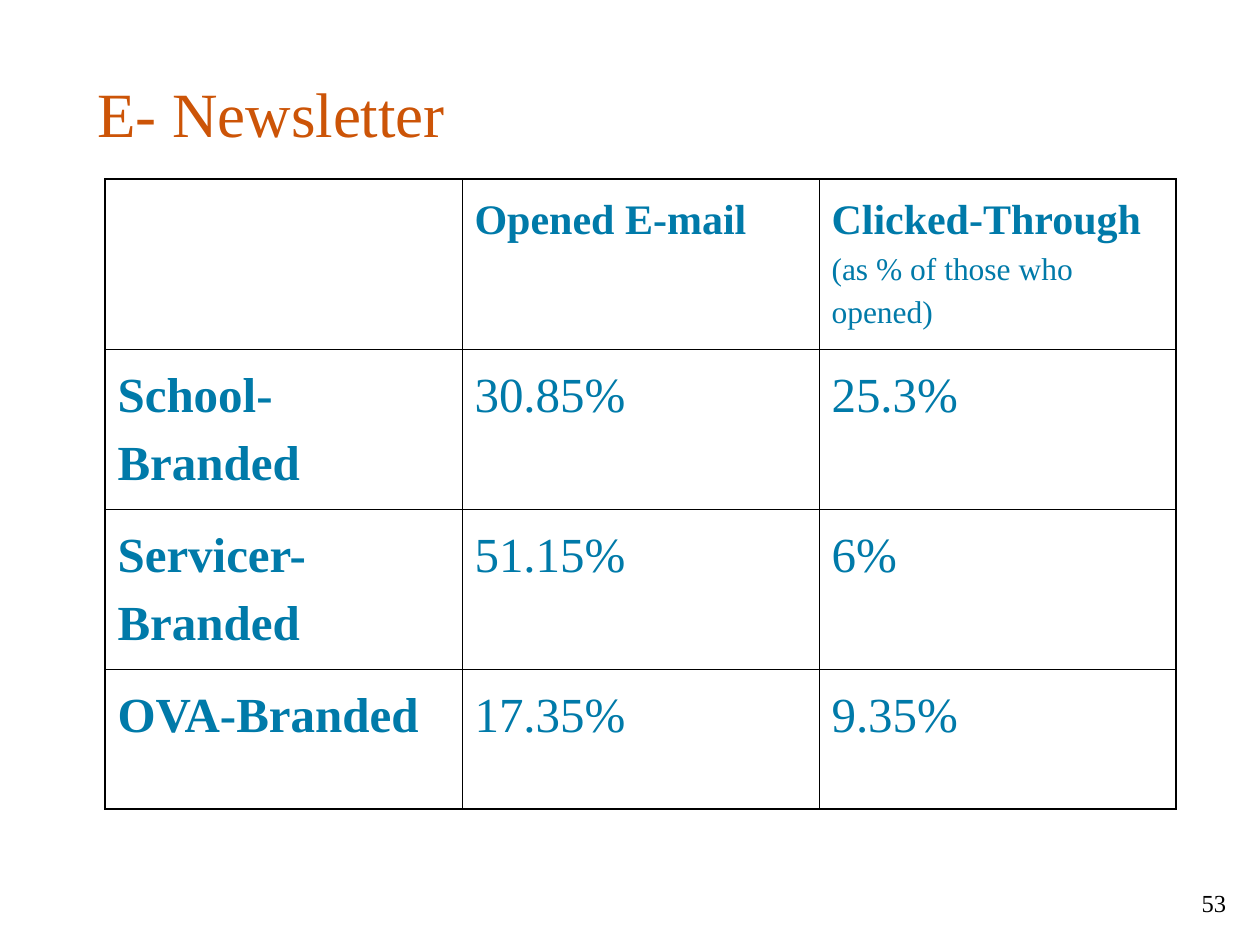
from dataclasses import dataclass

from lxml import etree
from pptx import Presentation
from pptx import util as u
from pptx.dml.color import RGBColor
from pptx.enum import text
from pptx.oxml import ns

WIDE, HIGH = 10, 7.5
FONT = "Times New Roman"
HUES = {"title": "CC5407", "body": "007AA9", "line": "000000"}
THIN, THICK = 0.45, 1.08
ROWS = (1.35, 1.27, 1.27, 1.11)
COLS = 3


@dataclass
class Run:
    words: str
    size: float
    bold: bool = False
    hue: str = "body"


def add_run(para, run: Run) -> None:
    part = para.add_run()
    part.text = run.words
    part.font.name = FONT
    part.font.size = u.Pt(run.size)
    part.font.bold = run.bold
    part.font.color.rgb = RGBColor.from_string(HUES[run.hue])


def add_edge(cell, side: str, width: float) -> None:
    props = cell._tc.get_or_add_tcPr()
    line = etree.SubElement(props, ns.qn(f"a:ln{side}"), w=str(u.Pt(width)))
    fill = etree.SubElement(line, ns.qn("a:solidFill"))
    etree.SubElement(fill, ns.qn("a:srgbClr"), val=HUES["line"])


def fill_cell(cell, row: int, col: int, runs: list[Run]) -> None:
    outer = {"L": col == 0, "R": col == COLS - 1,
             "T": row == 0, "B": row == len(ROWS) - 1}
    for side, thick in outer.items():
        add_edge(cell, side, THICK if thick else THIN)
    cell.fill.background()
    para = cell.text_frame.paragraphs[0]
    para.line_spacing = 1.25
    for run in runs:
        add_run(para, run)


def place(shape, left: float, top: float, width: float, height: float) -> None:
    shape.left, shape.width = u.Inches(left * WIDE), u.Inches(width * WIDE)
    shape.top, shape.height = u.Inches(top * HIGH), u.Inches(height * HIGH)


def data_row(name: str, *rates: str) -> list[list[Run]]:
    return [[Run(name, 28, True)]] + [[Run(rate, 28)] for rate in rates]


GRID = [
    [[], [Run("Opened E-mail", 24, True)],
     [Run("Clicked-Through ", 24, True), Run("(as % of those who opened)", 18)]],
    data_row("School-Branded", "30.85%", "25.3%"),
    data_row("Servicer-Branded", "51.15%", "6%"),
    data_row("OVA-Branded", "17.35%", "9.35%"),
]


def main() -> None:
    deck = Presentation()
    deck.slide_width, deck.slide_height = u.Inches(WIDE), u.Inches(HIGH)
    slide = deck.slides.add_slide(deck.slide_layouts[5])

    title = slide.shapes.title
    place(title, 0.067, 0.077, 0.85, 0.084)
    frame = title.text_frame
    frame.auto_size = text.MSO_AUTO_SIZE.NONE
    frame.vertical_anchor = text.MSO_ANCHOR.MIDDLE
    frame.paragraphs[0].alignment = text.PP_ALIGN.LEFT
    add_run(frame.paragraphs[0], Run("E- Newsletter", 36, hue="title"))

    holder = slide.shapes.add_table(
        len(ROWS), COLS, u.Inches(WIDE / 12), u.Inches(1.42),
        u.Inches(WIDE * 0.85), u.Inches(sum(ROWS)))
    table = holder.table
    table.first_row = table.horz_banding = False
    for row, height in enumerate(ROWS):
        table.rows[row].height = u.Inches(height)
        for col, runs in enumerate(GRID[row]):
            fill_cell(table.cell(row, col), row, col, runs)

    page = slide.shapes.add_textbox(0, 0, 0, 0)
    place(page, 0.775, 0.933, 0.208, 0.067)
    page.text_frame.word_wrap = True
    para = page.text_frame.paragraphs[0]
    para.alignment = text.PP_ALIGN.RIGHT
    add_run(para, Run("53", 14, hue="line"))

    deck.save("out.pptx")


if __name__ == "__main__":
    main()
